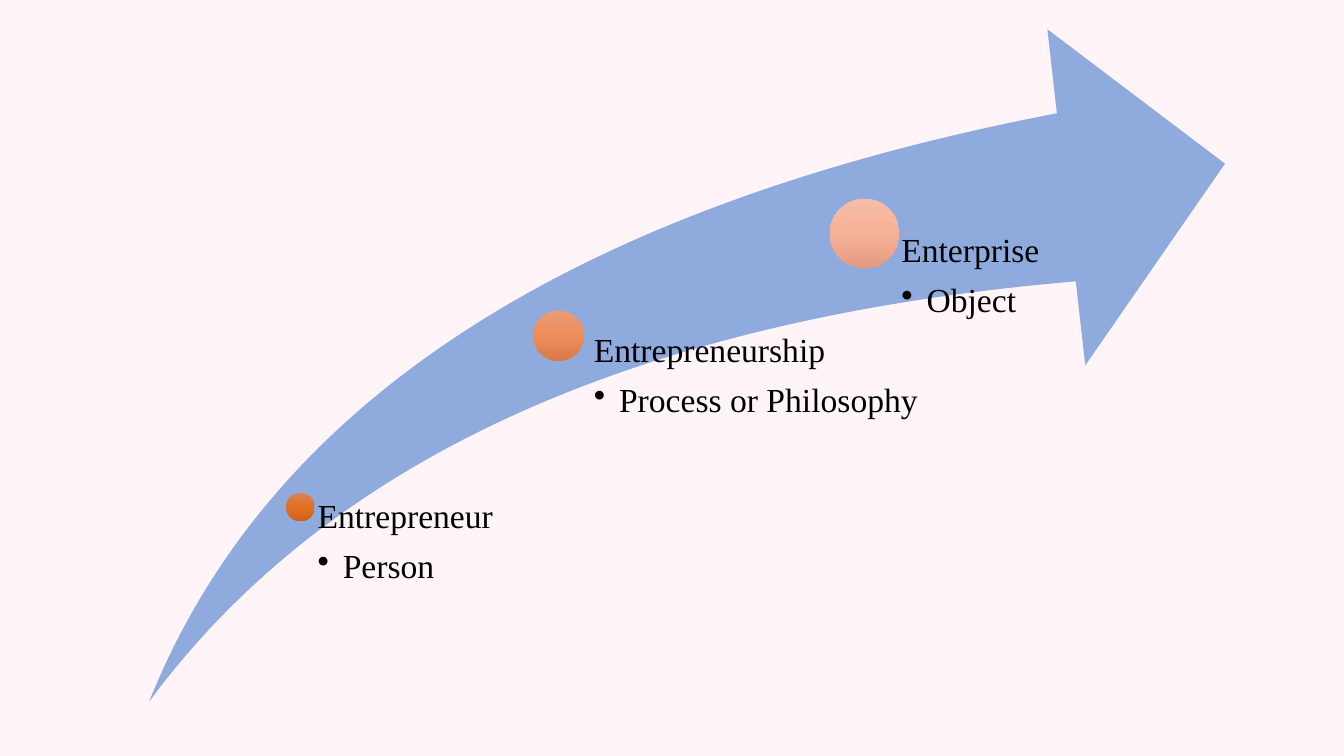
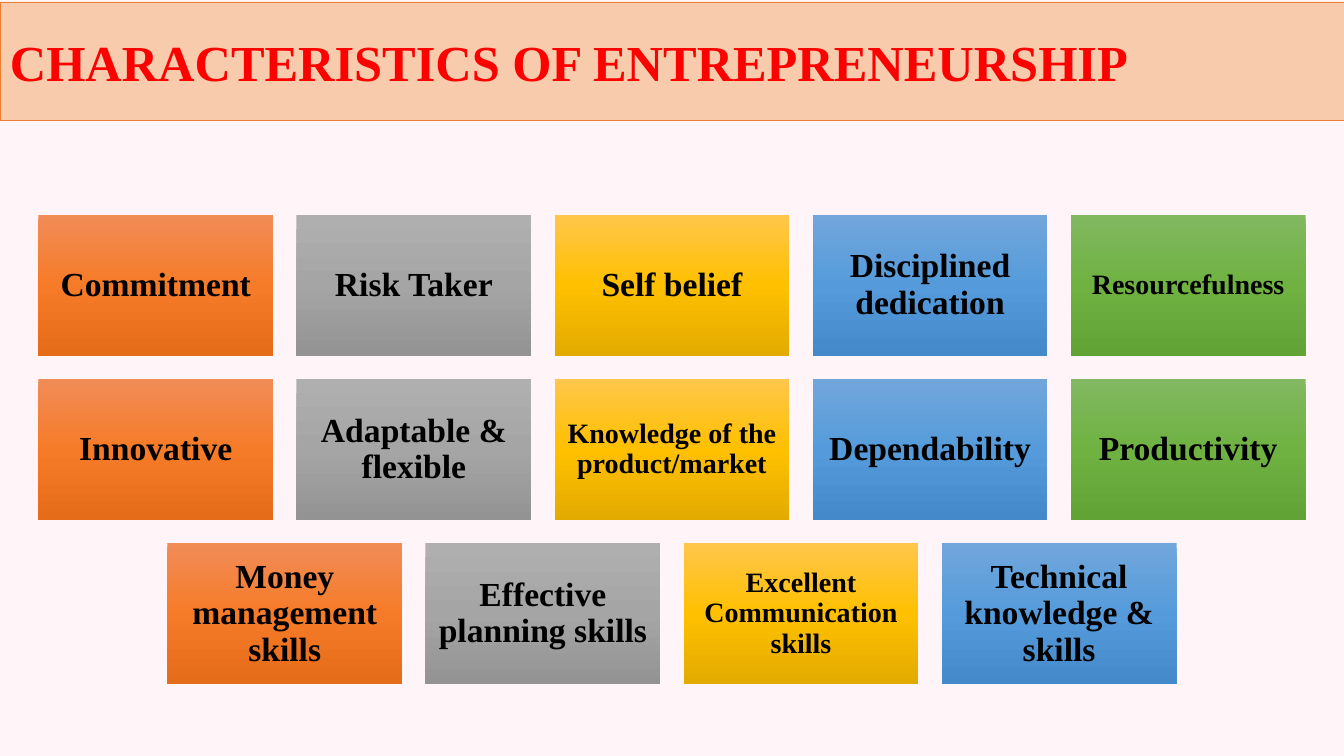
"""Build two slides on entrepreneurship: a growth arrow and a grid of characteristics."""
import copy
from pptx import Presentation
from pptx import util as u
from pptx.dml.color import RGBColor
from pptx.enum import shapes, text
from pptx.oxml import parse_xml
from pptx.oxml.ns import nsdecls

THEME = {
    "font": "Times New Roman",
    "background": "FFF5F9",
    "text": "000000",
    "arrow": "8FAADC",
    "band": "F8CBAD",
    "band_line": "ED7D31",
    "title": "FF0000",
    "title_size": 36,
    "body_size": 24,
    "small_size": 20,
    "dots": [("DD8254", "E07024", "D06216"),
             ("EB9C77", "ED8D5B", "DB7A49"),
             ("F6BDA8", "F7B196", "E29A80")],
    "tiles": [("F18C57", "F67B28", "E56C19"),
              ("AFAFAF", "A5A5A5", "939393"),
              ("FFC64B", "FFC000", "E3AB00"),
              ("71A6DB", "559BDB", "448ACA"),
              ("81B861", "6FB242", "62A336")],
}
SHAPE, ALIGN, ANCHOR = shapes.MSO_SHAPE, text.PP_ALIGN, text.MSO_ANCHOR


def add_shape(s, kind, box, colours):
    """Add a shape filled with one colour or a three-stop vertical gradient."""
    sp = s.shapes.add_shape(kind, *(u.Inches(v) for v in box))
    sp.shadow.inherit = False
    sp.line.fill.background()
    if isinstance(colours, str):
        sp.fill.solid()
        sp.fill.fore_color.rgb = RGBColor.from_string(colours)
        return sp
    sp.fill.gradient()
    sp.fill.gradient_angle = 270
    first = sp._element.xpath(".//a:gs")[0]
    first.addnext(copy.deepcopy(first))
    for i, (stop, colour) in enumerate(zip(sp.fill.gradient_stops, colours)):
        stop.position = i / 2
        stop.color.rgb = RGBColor.from_string(colour)
    return sp


def write(p, words, size, colour=THEME["text"], bold=False, **layout):
    """Write one run into a paragraph and format both."""
    for name, value in layout.items():
        setattr(p, name, value)
    r = p.add_run()
    r.text = words
    for name, value in {"name": THEME["font"], "size": u.Pt(size), "bold": bold}.items():
        setattr(r.font, name, value)
    r.font.color.rgb = RGBColor.from_string(colour)


prs = Presentation()
prs.slide_width, prs.slide_height = u.Inches(13.33), u.Inches(7.5)
slides = [prs.slides.add_slide(prs.slide_layouts[6]) for _ in range(2)]
for s in slides:
    s.background.fill.solid()
    s.background.fill.fore_color.rgb = RGBColor.from_string(THEME["background"])

s = slides[0]
arrow = add_shape(s, SHAPE.SWOOSH_ARROW, (1.48, 0.29, 10.67, 6.67), THEME["arrow"])
arrow.adjustments[0] = arrow.adjustments[1] = 0.25

stages = [
    ("Entrepreneur", "Person", (2.84, 4.89, 0.28), (3, 4.96, 3.53, 1.93), 0.15),
    ("Entrepreneurship", "Process or Philosophy", (5.29, 3.08, 0.5), (5.62, 3.31, 3.64, 3.63), 0.27),
    ("Enterprise", "Object", (8.23, 1.97, 0.69), (8.57, 2.32, 3.64, 4.63), 0.37),
]
for (name, meaning, (x, y, d), box, inset), colours in zip(stages, THEME["dots"]):
    add_shape(s, SHAPE.OVAL, (x, y, d, d), colours)
    tf = s.shapes.add_textbox(*(u.Inches(v) for v in box)).text_frame
    tf.word_wrap = True
    tf.margin_left = u.Inches(inset)
    tf.margin_top = tf.margin_right = tf.margin_bottom = 0
    write(tf.paragraphs[0], name, THEME["body_size"], line_spacing=0.9, space_after=u.Pt(9.5))
    p = tf.add_paragraph()
    pPr = p._p.get_or_add_pPr()
    pPr.set("marL", str(u.Inches(0.25)))
    pPr.set("indent", str(-u.Inches(0.25)))
    pPr.append(parse_xml(f'<a:buChar {nsdecls("a")} char="•"/>'))
    write(p, meaning, THEME["body_size"], level=1, line_spacing=0.9)

s = slides[1]
TILE_W, TILE_H, GAP, TOP = 2.33, 1.4, 0.23, 2.13
rows = [
    ["Commitment", "Risk Taker", "Self belief", "Disciplined dedication", "Resourcefulness"],
    ["Innovative", "Adaptable & flexible", "Knowledge of the product/market",
     "Dependability", "Productivity"],
    ["Money management skills", "Effective planning skills",
     "Excellent Communication skills", "Technical knowledge & skills"],
]
small = {"Resourcefulness", "Knowledge of the product/market", "Excellent Communication skills"}
for i, row in enumerate(rows):
    left = (13.33 - len(row) * (TILE_W + GAP) + GAP) / 2
    for j, (words, colours) in enumerate(zip(row, THEME["tiles"])):
        box = (left + j * (TILE_W + GAP), TOP + i * (TILE_H + GAP), TILE_W, TILE_H)
        tf = add_shape(s, SHAPE.RECTANGLE, box, colours).text_frame
        inset = u.Inches(0.08 if words in small else 0.1)
        for side in ("left", "top", "right", "bottom"):
            setattr(tf, f"margin_{side}", inset)
        tf.word_wrap, tf.vertical_anchor = True, ANCHOR.MIDDLE
        size = THEME["small_size" if words in small else "body_size"]
        write(tf.paragraphs[0], words, size, bold=True, alignment=ALIGN.CENTER, line_spacing=0.9)

band = add_shape(s, SHAPE.RECTANGLE, (0, 0.02, 13.33, 1.17), THEME["band"])
band.line.color.rgb = RGBColor.from_string(THEME["band_line"])
band.line.width = u.Pt(0.5)
tf = band.text_frame
tf.word_wrap, tf.vertical_anchor = True, ANCHOR.MIDDLE
write(tf.paragraphs[0], "CHARACTERISTICS OF ENTREPRENEURSHIP", THEME["title_size"],
      THEME["title"], True, alignment=ALIGN.JUSTIFY)

prs.save("out.pptx")
